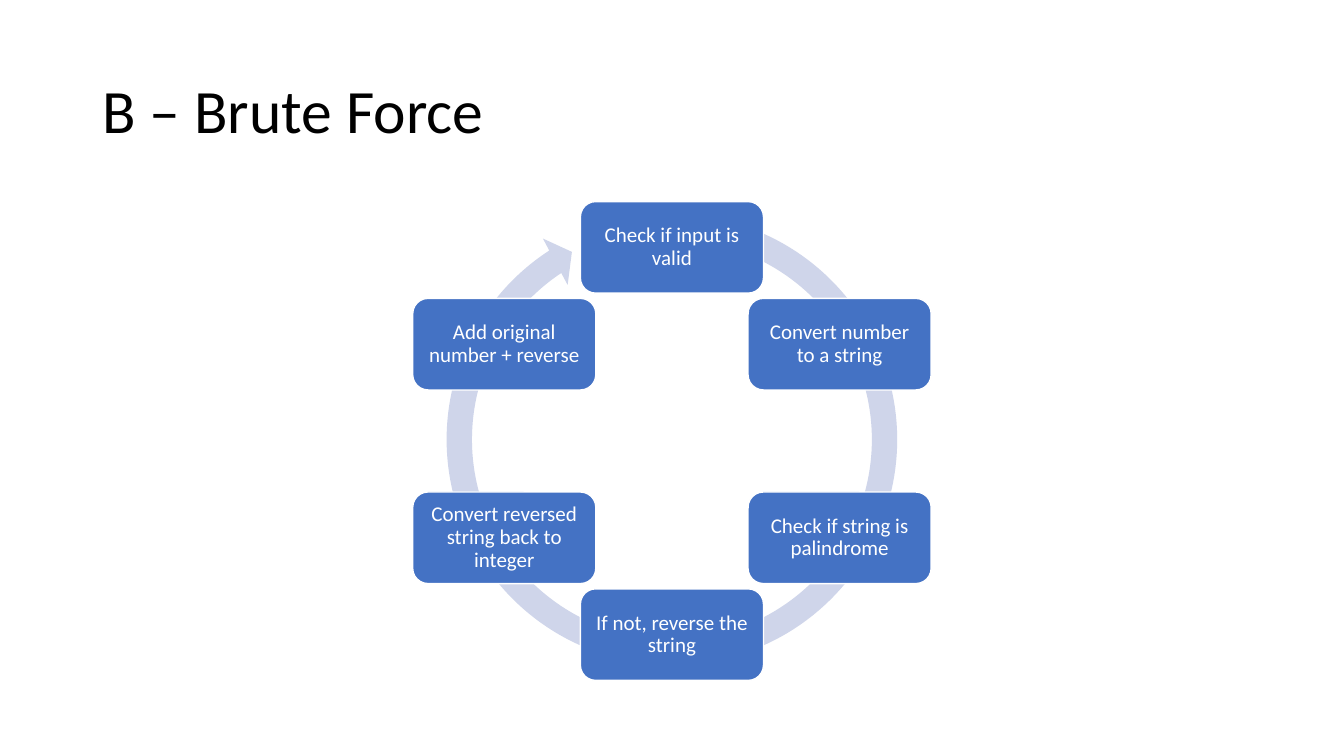
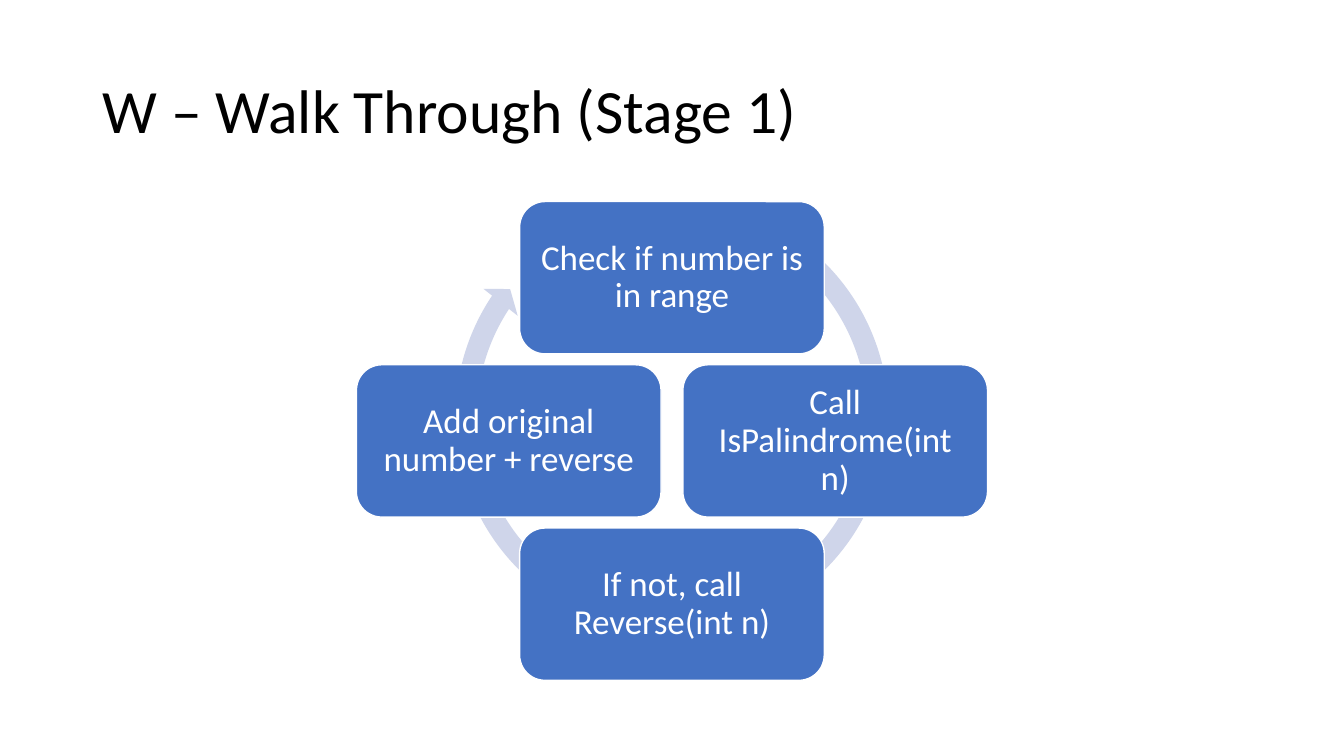
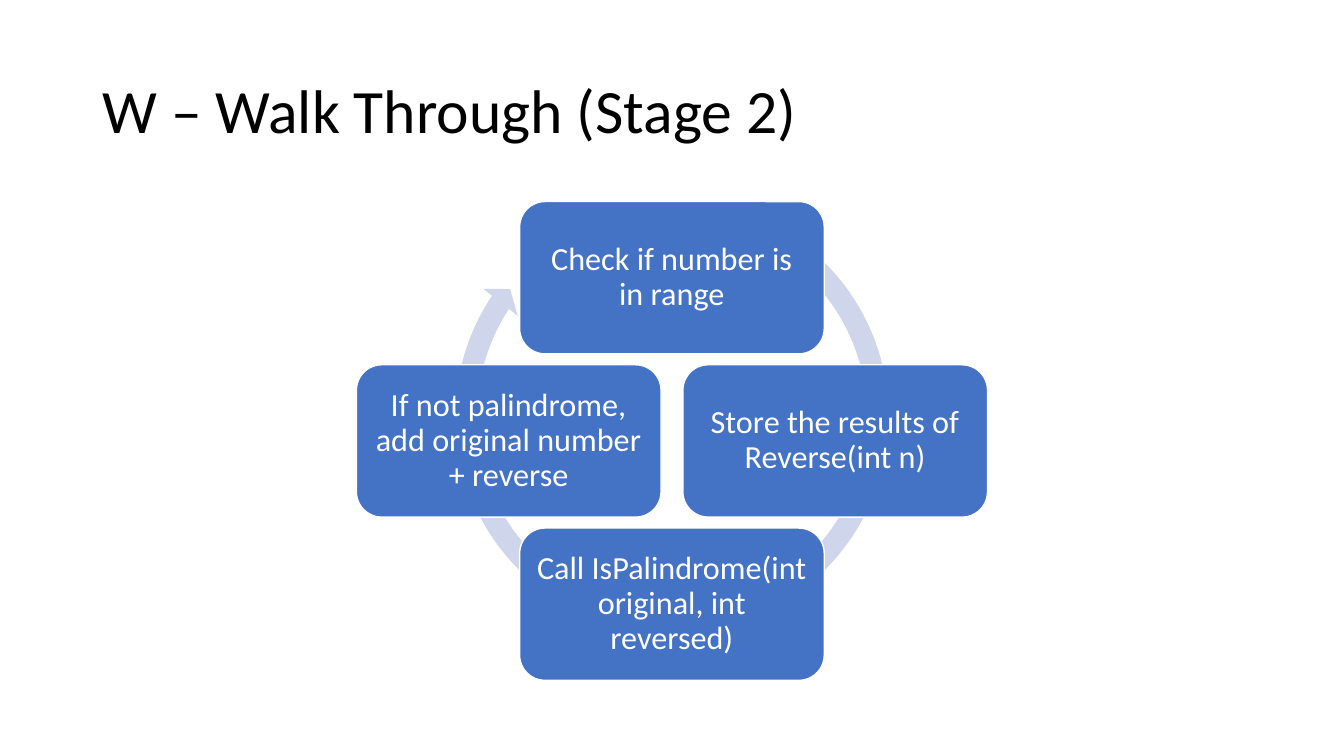
from math import cos, pi, sin

from pptx import Presentation
from pptx.dml.color import RGBColor
from pptx.enum.shapes import MSO_SHAPE as Kind
from pptx.enum.text import MSO_ANCHOR as Anchor, MSO_AUTO_SIZE as Fit, PP_ALIGN as Align
from pptx.util import Pt


def paint(code):
    return RGBColor.from_string(code)


class Deck:
    font = "Calibri"
    ink, white, blue, pale = "000000", "FFFFFF", "4472C4", "CFD5EA"
    mid_x, mid_y, span = 480, 315, 342

    def __init__(self):
        self.file = Presentation()
        self.file.slide_width, self.file.slide_height = Pt(960), Pt(540)
        self.page = None

    def label(self, shape, text, size, color, align):
        frame = shape.text_frame
        frame.text = text
        frame.word_wrap = True
        frame.auto_size = Fit.NONE
        frame.vertical_anchor = Anchor.MIDDLE
        para = frame.paragraphs[0]
        para.alignment, para.line_spacing = align, 0.9
        font = para.runs[0].font
        font.name, font.size = self.font, Pt(size)
        font.color.rgb = paint(color)

    def start(self, text):
        self.page = self.file.slides.add_slide(self.file.slide_layouts[5])
        title = self.page.shapes.title
        title.left, title.top = Pt(66), Pt(28.8)
        title.width, title.height = Pt(828), Pt(104.4)
        self.label(title, text, 44, self.ink, Align.LEFT)

    def shape(self, kind, x, y, wide, high, fill):
        item = self.page.shapes.add_shape(
            kind, Pt(x - wide / 2), Pt(y - high / 2), Pt(wide), Pt(high))
        item.shadow.inherit = False
        item.fill.solid()
        item.fill.fore_color.rgb = paint(fill)
        return item

    def ring(self, y, size, bends):
        ring = self.shape(Kind.CIRCULAR_ARROW, self.mid_x, y, size, size, self.pale)
        ring.line.fill.background()
        for i, bend in enumerate(bends):
            ring.adjustments[i] = bend

    def box(self, x, y, high, text, size):
        box = self.shape(Kind.ROUNDED_RECTANGLE, x, y, 2 * high, high, self.blue)
        box.line.color.rgb = paint(self.white)
        box.line.width = Pt(1)
        self.label(box, text, size, self.white, Align.CENTER)
        frame = box.text_frame
        frame.margin_left = frame.margin_right = Pt(0.3 * size)
        frame.margin_top = frame.margin_bottom = Pt(0.3 * size)

    def cycle(self, title, steps, size, high, ring):
        self.start(title)
        self.ring(*ring)
        reach = (self.span - high) / 2
        for i, step in enumerate(steps):
            turn = 2 * pi * i / len(steps)
            self.box(self.mid_x + reach * sin(turn), self.mid_y - reach * cos(turn),
                     high, step, size)


def main():
    deck = Deck()
    six = (314, 341.3, (0.053, 3.126, 142.039, 171.412, 0.055))
    four = (297.4, 325.4, (0.047, 2.729, 128.177, 180.402, 0.048))
    deck.cycle("B – Brute Force", [
        "Check if input is valid",
        "Convert number to a string",
        "Check if string is palindrome",
        "If not, reverse the string",
        "Convert reversed string back to integer",
        "Add original number + reverse",
    ], 15, 65.4, six)
    deck.cycle("W – Walk Through (Stage 1)", [
        "Check if number is in range",
        "Call IsPalindrome(int n)",
        "If not, call Reverse(int n)",
        "Add original number + reverse",
    ], 25, 108.8, four)
    deck.cycle("W – Walk Through (Stage 2)", [
        "Check if number is in range",
        "Store the results of Reverse(int n)",
        "Call IsPalindrome(int original, int reversed)",
        "If not palindrome, add original number + reverse",
    ], 23, 108.8, four)
    deck.file.save("out.pptx")


if __name__ == "__main__":
    main()
